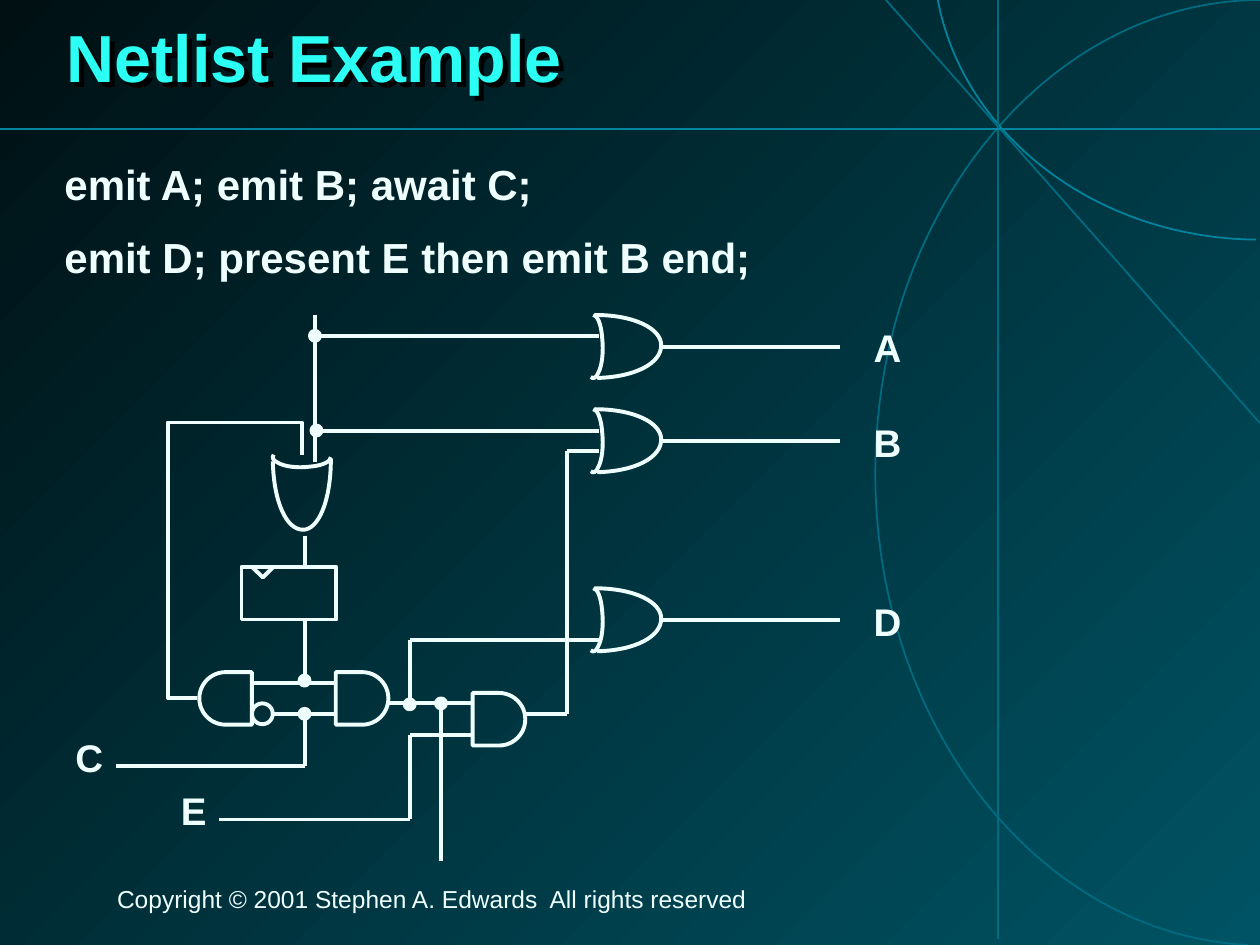
"""Build the netlist example slide with its logic circuit."""
from itertools import pairwise

from lxml import etree
from pptx import Presentation
from pptx import util as u
from pptx.dml.color import RGBColor
from pptx.enum import shapes, text
from pptx.oxml.ns import qn

INK, TITLE, TEAL, DIM = "EFFFFD", "2CFFF3", "0085A0", "006C82"
rgb = RGBColor.from_string


def stroke(s, colour, width):
    s.line.color.rgb = rgb(colour)
    s.line.width = u.Pt(width)
    etree.SubElement(s._element.spPr, qn("a:effectLst"))


def curve(points, size, box, colour, width, rotation=0):
    emu = [(u.Cm(x), u.Cm(y)) for x, y in points]
    builder = sp.build_freeform(*emu[0], scale=1.0)
    builder.add_line_segments(emu[1:], close=False)
    s = builder.convert_to_shape()
    path = s._element.spPr.find(".//" + qn("a:path"))
    path.set("w", str(u.Cm(size[0])))
    path.set("h", str(u.Cm(size[1])))
    for pt, (x, y) in zip(path.iter(qn("a:pt")), emu):
        pt.set("x", str(x))
        pt.set("y", str(y))
    segments = path.findall(qn("a:lnTo"))
    for i in range(0, len(segments), 3):
        bezier = etree.SubElement(path, qn("a:cubicBezTo"))
        for segment in segments[i:i + 3]:
            bezier.append(segment[0])
            path.remove(segment)
    s.left, s.top, s.width, s.height = (u.Cm(v) for v in box)
    s.rotation = rotation
    s.fill.background()
    stroke(s, colour, width)


prs = Presentation()
prs.slide_width, prs.slide_height = u.Cm(25.4), u.Cm(19.05)
slide = prs.slides.add_slide(prs.slide_layouts[6])
sp = slide.shapes

fill = slide.background.fill
fill.gradient()
fill.gradient_angle = 135
for stop, colour in zip(fill.gradient_stops, ("005364", "001013")):
    stop.color.rgb = rgb(colour)

curve([(7.5, 19.05), (3.2, 18.82), (-0.13, 14.45), (0, 9.25),
       (0.13, 4.04), (3.66, -0.08), (7.9, 0)],
      (15.65, 19.08), (17.65, 0, 15.65, 19.08), DIM, 1)
curve([(6.47, 11.43), (3.27, 11.4), (0.56, 9.34), (0.05, 6.57)],
      (13.13, 11.43), (18.85, -6.6, 13.13, 11.43), TEAL, 1)

outputs = {"A": 6.99, "B": 8.89, "D": 12.5}
gate_body = [(1.68, 1.27), (2.46, 1.25), (2.97, 0.97), (2.97, 0.61),
             (2.97, 0.28), (2.44, 0), (1.63, 0)]
gate_back = [(0.2, 0), (0.28, 0), (0.36, 0.18), (0.38, 0.46),
             (0.41, 0.74), (0.38, 1.02), (0.3, 1.17),
             (0.26, 1.27), (0.2, 1.3), (0.15, 1.25)]
gate_parts = [
    (gate_body, 10.36, 2.97, (4.5, 8.51, 3.17, 1.17)),
    (gate_back, 11.76, 0.41, (5.87, 8.64, 0.43, 1.17)),
]
for points, x, w, turned_box in gate_parts:
    for y in outputs.values():
        curve(points, (w, 1.27), (x, y - 0.64, w, 1.27), INK, 2.25)
    curve(points, (w, 1.27), turned_box, INK, 2.25, 90)

wires = [
    ([(25.4, 8.53), (17.86, 0)], DIM, 1),
    ([(20.12, 0), (20.12, 18.92)], DIM, 1),
    ([(0, 2.6), (25.4, 2.6)], TEAL, 1),
]
nets = [
    [(6.35, 6.35), (6.35, 9.31)],
    [(6.35, 6.77), (12.07, 6.77)],
    [(6.35, 8.68), (12.07, 8.68)],
    [(6.14, 10.8), (6.14, 11.43)],
    [(6.14, 12.49), (6.14, 13.76)],
    [(5.08, 13.76), (6.77, 13.76)],
    [(5.51, 14.39), (6.77, 14.39)],
    [(2.33, 15.45), (6.14, 15.45), (6.14, 14.39)],
    [(7.83, 14.18), (9.53, 14.18)],
    [(8.26, 14.18), (8.26, 12.91), (12.07, 12.91)],
    [(4.42, 16.52), (8.26, 16.52), (8.26, 14.82), (9.53, 14.82)],
    [(10.59, 14.39), (11.43, 14.39), (11.43, 9.1), (12.07, 9.1)],
    [(8.89, 14.18), (8.89, 17.36)],
]
nets += [[(13.34, y), (16.93, y)] for y in outputs.values()]
wires += [(net, INK, 2.25) for net in nets]
for points, colour, width in wires:
    for start, end in pairwise(points):
        s = sp.add_connector(shapes.MSO_CONNECTOR.STRAIGHT,
                             *(u.Cm(v) for v in start + end))
        stroke(s, colour, width)

feedback = sp.add_connector(shapes.MSO_CONNECTOR.ELBOW,
                            u.Cm(3.98), u.Cm(14.07), u.Cm(6.08), u.Cm(9.17))
stroke(feedback, INK, 2.25)
geom = feedback._element.spPr.find(qn("a:prstGeom"))
geom.set("prst", "bentConnector4")
for old in list(geom):
    geom.remove(old)
guides = etree.SubElement(geom, qn("a:avLst"))
for name, value in (("adj1", -28300), ("adj2", 113300)):
    etree.SubElement(guides, qn("a:gd"), name=name, fmla=f"val {value}")

kinds = shapes.MSO_SHAPE
parts = [
    (kinds.RECTANGLE, 4.87, 11.43, 1.91, 1.06, False, False),
    (kinds.FLOWCHART_DELAY, 6.77, 13.55, 1.06, 1.06, False, False),
    (kinds.FLOWCHART_DELAY, 4.02, 13.55, 1.06, 1.06, True, False),
    (kinds.FLOWCHART_DELAY, 9.53, 13.97, 1.06, 1.06, False, False),
    (kinds.OVAL, 5.08, 14.18, 0.42, 0.42, False, False),
]
junctions = [(8.89, 14.18), (8.26, 14.2), (6.14, 14.39),
             (6.14, 13.72), (6.38, 8.68), (6.35, 6.77)]
parts += [(kinds.OVAL, x - 0.1, y - 0.1, 0.2, 0.2, False, True) for x, y in junctions]
for kind, x, y, w, h, flipped, solid in parts:
    s = sp.add_shape(kind, u.Cm(x), u.Cm(y), u.Cm(w), u.Cm(h))
    if solid:
        s.fill.solid()
        s.fill.fore_color.rgb = rgb(INK)
    else:
        s.fill.background()
    if flipped:
        s._element.spPr.find(qn("a:xfrm")).set("flipH", "1")
    stroke(s, INK, 2.25)

notch = sp.build_freeform(u.Cm(5.51), u.Cm(11.43), scale=1.0)
notch.add_line_segments([(u.Cm(5.3), u.Cm(11.64)), (u.Cm(5.08), u.Cm(11.43))], close=False)
s = notch.convert_to_shape()
s.fill.background()
stroke(s, INK, 2.25)

left, center = text.PP_ALIGN.LEFT, text.PP_ALIGN.CENTER
top, middle = text.MSO_ANCHOR.TOP, text.MSO_ANCHOR.MIDDLE
boxes = [
    ("Netlist Example", 1.09, 0, 23.39, 2.49, 38, True, TITLE, left, middle, 0.87),
    ("emit A; emit B; await C;\nemit D; present E then emit B end;",
     1.05, 3.16, 23.16, 14.2, 24, True, INK, left, top, 0.93),
    ("Copyright © 2001 Stephen A. Edwards  All rights reserved",
     2.11, 17.78, 20.52, 0.76, 14, False, INK, left, top, 0.85),
]
labels = [(name, 17.36, y - 0.43) for name, y in outputs.items()]
labels += [("C", 1.27, 14.81), ("E", 3.38, 15.88)]
boxes += [(name, x, y, 1.05, 1.04, 22, True, INK, center, middle, 0.85)
          for name, x, y in labels]
for words, x, y, w, h, size, bold, colour, align, anchor, spacing in boxes:
    s = sp.add_textbox(u.Cm(x), u.Cm(y), u.Cm(w), u.Cm(h))
    tf = s.text_frame
    tf.text = words
    tf.word_wrap = align == left
    tf.vertical_anchor = anchor
    for i, p in enumerate(tf.paragraphs):
        p.alignment = align
        p.line_spacing = spacing
        p.space_before = u.Pt(15 if i else 0)
        for r in p.runs:
            r.font.name, r.font.size, r.font.bold = "Arial", u.Pt(size), bold
            r.font.color.rgb = rgb(colour)
    if colour == TITLE:
        effects = etree.SubElement(s._element.spPr, qn("a:effectLst"))
        shadow = etree.SubElement(effects, qn("a:outerShdw"), dist=str(u.Cm(0.15)),
                                  dir="2700000", algn="ctr", rotWithShape="0")
        etree.SubElement(shadow, qn("a:srgbClr"), val="000000")

prs.save("out.pptx")
